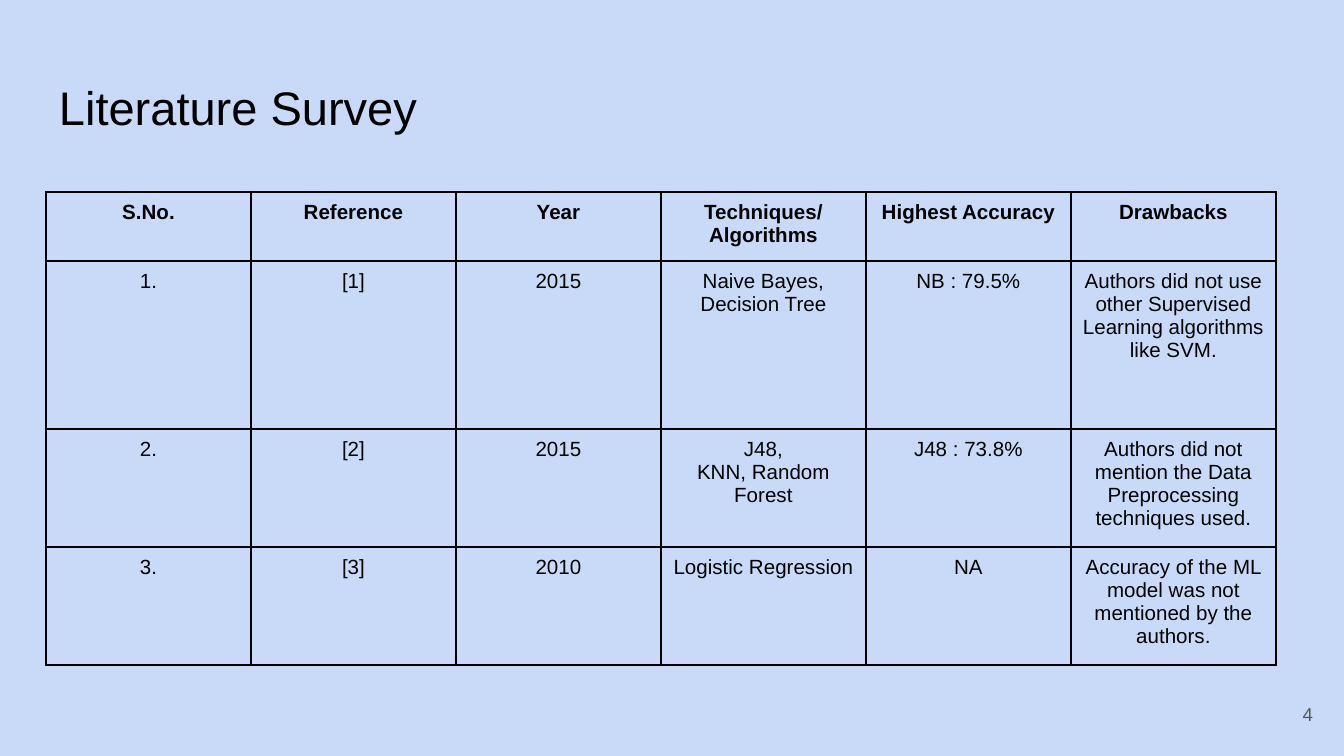
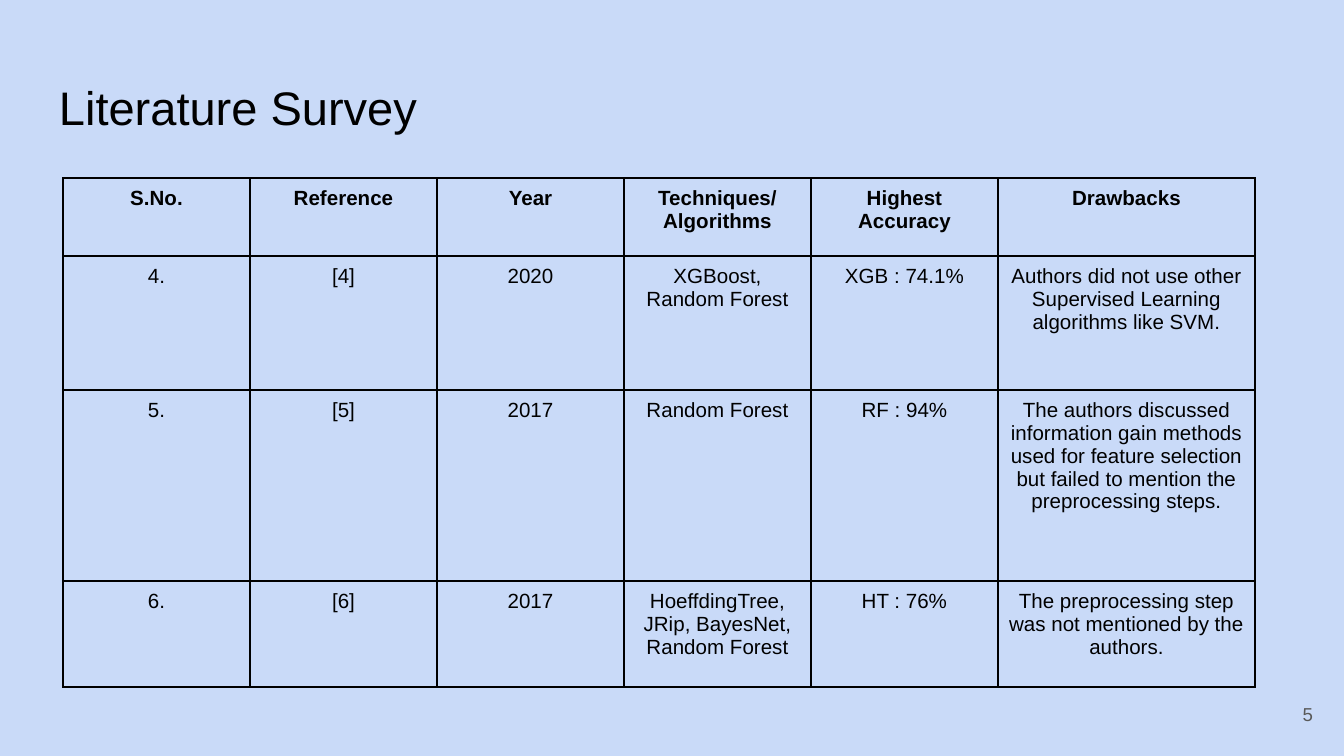
from dataclasses import dataclass

from lxml import etree
from pptx import Presentation
from pptx.dml.color import RGBColor
from pptx.enum import text
from pptx.oxml import ns
from pptx.util import Emu, Pt

PX = 914400 / 134.4
WIDTH, HEIGHT = 1344, 756


@dataclass(frozen=True)
class Theme:
    font: str = "Arial"
    background: str = "C9DAF8"
    ink: str = "000000"
    muted: str = "595959"
    title_size: float = 25.2
    table_size: float = 11
    number_size: float = 10
    border: float = 1
    box_inset: int = 13
    cell_inset: int = 9


def px(n):
    return Emu(round(n * PX))


class Deck:
    def __init__(self, theme):
        self.theme = theme
        self.prs = Presentation()
        self.prs.slide_width, self.prs.slide_height = px(WIDTH), px(HEIGHT)
        self.slide = None

    def new_slide(self, title, number):
        t = self.theme
        self.slide = self.prs.slides.add_slide(self.prs.slide_layouts[6])
        fill = self.slide.background.fill
        fill.solid()
        fill.fore_color.rgb = RGBColor.from_string(t.background)
        self.text_box(title, (46, 66, 1253, 84), t.title_size, t.ink)
        self.text_box(str(number), (1246, 685, 80, 58), t.number_size, t.muted,
                      align=text.PP_ALIGN.RIGHT,
                      anchor=text.MSO_ANCHOR.MIDDLE)

    def add_words(self, tf, words, size, color, align, bold=False):
        """Fill a text frame, one paragraph for each line of words."""
        for i, line in enumerate(words.split("\n")):
            p = tf.add_paragraph() if i else tf.paragraphs[0]
            p.alignment = align
            r = p.add_run()
            r.text = line
            r.font.name = self.theme.font
            r.font.size = Pt(size)
            r.font.bold = bold
            r.font.color.rgb = RGBColor.from_string(color)

    def text_box(self, words, box, size, color, align=text.PP_ALIGN.LEFT,
                 anchor=text.MSO_ANCHOR.TOP):
        sp = self.slide.shapes.add_textbox(*map(px, box))
        tf = sp.text_frame
        tf.word_wrap = True
        tf.vertical_anchor = anchor
        self.set_insets(tf, self.theme.box_inset)
        self.add_words(tf, words, size, color, align)

    def table(self, left, top, widths, heights, rows):
        frame = self.slide.shapes.add_table(
            len(heights), len(widths), px(left), px(top),
            px(sum(widths)), px(sum(heights)))
        tbl = frame.table
        tbl.first_row = tbl.horz_banding = False
        for col, width in zip(tbl.columns, widths):
            col.width = px(width)
        for row, height in zip(tbl.rows, heights):
            row.height = px(height)
        t = self.theme
        for i, row in enumerate(rows):
            for j, words in enumerate(row):
                cell = tbl.cell(i, j)
                self.set_insets(cell, t.cell_inset)
                self.add_words(cell.text_frame, words, t.table_size, t.ink,
                               text.PP_ALIGN.CENTER, bold=i == 0)
                self.cell_borders(cell)
                cell.fill.background()

    def cell_borders(self, cell):
        tc_pr = cell._tc.get_or_add_tcPr()
        for side in "LRTB":
            ln = etree.SubElement(tc_pr, ns.qn(f"a:ln{side}"),
                                  w=str(int(Pt(self.theme.border))))
            fill = etree.SubElement(ln, ns.qn("a:solidFill"))
            etree.SubElement(fill, ns.qn("a:srgbClr"), val=self.theme.ink)

    @staticmethod
    def set_insets(target, inset):
        target.margin_left = target.margin_right = px(inset)
        target.margin_top = target.margin_bottom = px(inset)


TITLE = "Literature Survey"
HEADER = ("S.No.", "Reference", "Year", "Techniques/Algorithms",
          "Highest Accuracy", "Drawbacks")
NO_SVM = ("Authors did not use other Supervised Learning algorithms "
          "like SVM.")

# Each study: year, techniques, highest accuracy, drawbacks
EARLY_STUDIES = [
    ("2015", "Naive Bayes, Decision Tree", "NB : 79.5%", NO_SVM),
    ("2015", "J48,\nKNN, Random Forest", "J48 : 73.8%",
     "Authors did not mention the Data Preprocessing techniques used."),
    ("2010", "Logistic Regression", "NA",
     "Accuracy of the ML model was not mentioned by the authors."),
]
LATER_STUDIES = [
    ("2020", "XGBoost, Random Forest", "XGB : 74.1%", NO_SVM),
    ("2017", "Random Forest", "RF : 94%",
     "The authors discussed information gain methods used for feature "
     "selection but failed to mention the preprocessing steps."),
    ("2017", "HoeffdingTree, JRip, BayesNet, Random Forest", "HT : 76%",
     "The preprocessing step was not mentioned by the authors."),
]


def survey_rows(studies, first):
    """Put the header on top and number the studies from first."""
    return [HEADER] + [(f"{n}.", f"[{n}]", *study)
                       for n, study in enumerate(studies, first)]


def main():
    deck = Deck(Theme())
    deck.new_slide(TITLE, 4)
    deck.table(46, 192, [205] * 6, [69, 168, 118, 118],
               survey_rows(EARLY_STUDIES, 1))
    deck.new_slide(TITLE, 5)
    deck.table(63, 178, [187] * 5 + [257], [78, 134, 191, 106],
               survey_rows(LATER_STUDIES, 4))
    deck.prs.save("out.pptx")


if __name__ == "__main__":
    main()
